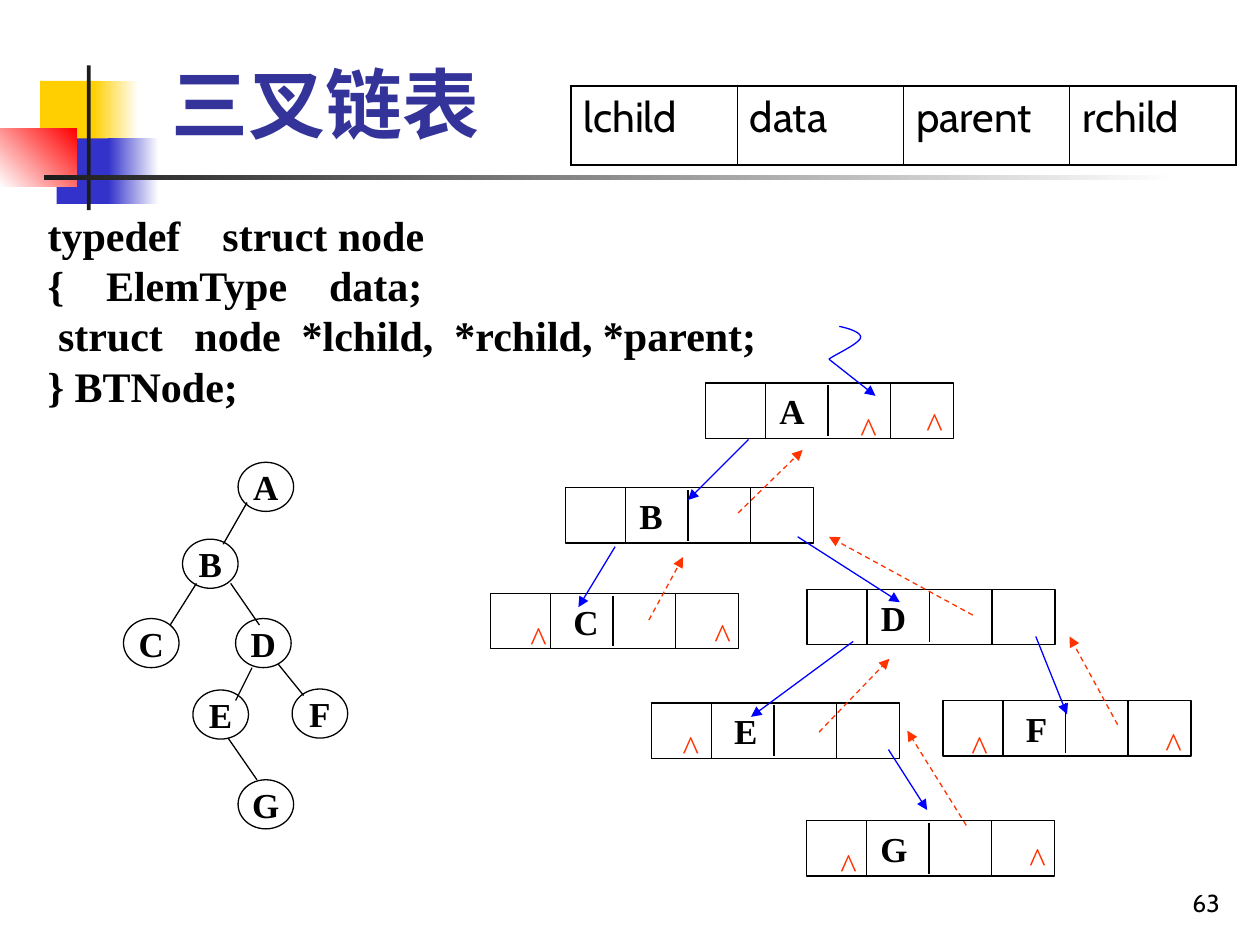
from dataclasses import dataclass

from lxml import etree
from pptx import Presentation
from pptx.dml.color import RGBColor
from pptx.enum.dml import MSO_LINE
from pptx.enum.shapes import MSO_CONNECTOR, MSO_SHAPE
from pptx.enum.text import MSO_ANCHOR, PP_ALIGN
from pptx.oxml.ns import qn
from pptx.util import Cm, Pt

RECTANGLE, OVAL = MSO_SHAPE.RECTANGLE, MSO_SHAPE.OVAL
STRAIGHT, DASH = MSO_CONNECTOR.STRAIGHT, MSO_LINE.DASH
TOP, MIDDLE, BOTTOM = MSO_ANCHOR.TOP, MSO_ANCHOR.MIDDLE, MSO_ANCHOR.BOTTOM
LEFT, CENTER, RIGHT = PP_ALIGN.LEFT, PP_ALIGN.CENTER, PP_ALIGN.RIGHT


@dataclass(frozen=True)
class Theme:
    black: str = "000000"
    white: str = "FFFFFF"
    bar: str = "1C1C1C"
    yellow: str = "FFCF01"
    indigo: str = "3333CC"
    red: str = "FF0000"
    title: str = "333399"
    child: str = "0000FF"
    parent: str = "FF3300"
    serif: str = "Times New Roman"
    sans: str = "Cabin"
    heading: str = "Noto Sans CJK SC"
    title_size: int = 44
    code_size: int = 24
    node_size: int = 20
    number_size: int = 14
    line: float = 0.75


THEME = Theme()

DECORATION = [
    ((0.81, 1.63, 1.22, 1.32), (THEME.yellow,), 0),
    ((1.88, 1.63, 0.91, 1.32), (THEME.yellow, THEME.white), 0),
    ((1.14, 2.79, 1.17, 1.32), (THEME.indigo,), 0),
    ((2.18, 2.79, 1.02, 1.32), (THEME.indigo, THEME.white), 0),
    ((0, 2.59, 1.55, 1.17), (THEME.white, THEME.red), 45),
    ((1.75, 1.32, 0.08, 2.92), (THEME.bar,), 0),
    ((0.89, 3.53, 22.86, 0.1), (THEME.bar, THEME.white), 0),
]
CODE = ["typedef    struct node", "{    ElemType    data;",
        " struct   node  *lchild,  *rchild, *parent;", "} BTNode;"]
FIELDS = ["lchild", "data", "parent", "rchild"]
TREE_NODES = {"A": (4.8, 9.32), "B": (3.68, 10.87), "C": (2.49, 12.47), "D": (4.75, 12.47),
              "E": (3.89, 13.91), "F": (5.89, 13.89), "G": (4.8, 15.72)}
TREE_EDGES = [
    (4.98, 10.13, 4.5, 10.97), (3.96, 11.76, 3.43, 12.6), (4.65, 11.76, 5.23, 12.6),
    (5.08, 13.46, 4.75, 14.12), (5.61, 13.39, 6.12, 14.02), (4.6, 14.88, 5.18, 15.72),
]
RECORDS = [
    ("A", 14.22, 7.72, 1.49), ("B", 11.4, 9.83, 1.49), ("C", 9.89, 11.96, 1.67),
    ("D", 16.27, 11.88, 1.49), ("E", 13.13, 14.17, 1.67), ("F", 19.01, 14.12, 1.67),
    ("G", 16.26, 16.54, 1.49),
]
CHILD_LINKS = [
    (15.09, 8.86, 13.87, 10.08), (12.4, 11.02, 11.66, 12.24), (17.2, 12.93, 15.14, 14.45),
    (16.08, 10.82, 18.14, 12.14), (20.88, 12.83, 21.51, 14.4), (17.91, 15.11, 18.69, 16.33),
    (16.71, 7.24, 17.65, 7.98),
]
PARENT_LINKS = [
    (14.88, 10.34, 16.18, 9.07), (13.08, 12.5, 13.77, 11.23), (19.61, 12.4, 16.71, 10.82),
    (16.51, 14.76, 17.93, 13.28), (19.48, 16.64, 18.29, 14.73), (22.53, 14.61, 21.56, 12.83),
]
NULL_MARKS = [
    (17.09, 8.08), (18.42, 7.98), (10.44, 12.29), (14.15, 12.24), (13.51, 14.48),
    (19.33, 14.48), (23.24, 14.43), (16.69, 16.87), (20.5, 16.74),
]
ROOT_CURVES = [
    ((16.92, 6.58), (17.15, 6.63), (17.37, 6.71), (17.35, 6.81)),
    ((17.35, 6.81), (17.32, 6.93), (16.82, 7.16), (16.71, 7.24)),
]


def color(code):
    return RGBColor.from_string(code)


def write(frame, lines, font, size, ink, bold=False, align=LEFT, anchor=MIDDLE):
    frame.word_wrap = True
    frame.vertical_anchor = anchor
    frame.text = "\n".join(lines)
    for para in frame.paragraphs:
        para.alignment = align
        for span in para.runs:
            span.font.name = font
            span.font.size = Pt(size)
            span.font.bold = bold
            span.font.color.rgb = color(ink)
            east_asian = etree.SubElement(span.font._element, qn("a:ea"))
            east_asian.set("typeface", font)


def add_text(page, place, lines, *style, **options):
    box = page.shapes.add_textbox(*map(Cm, place))
    write(box.text_frame, lines, *style, **options)
    return box


def add_outline(page, kind, place):
    shape = page.shapes.add_shape(kind, *map(Cm, place))
    shape.shadow.inherit = False
    shape.fill.background()
    shape.line.color.rgb = color(THEME.black)
    shape.line.width = Pt(THEME.line)
    return shape


def add_line(page, ends, ink=THEME.black, arrow=False, dash=None):
    line = page.shapes.add_connector(STRAIGHT, *map(Cm, ends))
    line.line.color.rgb = color(ink)
    line.line.width = Pt(THEME.line)
    if dash:
        line.line.dash_style = dash
    if arrow:
        etree.SubElement(line.line._get_or_add_ln(), qn("a:tailEnd")).set("type", "triangle")
    etree.SubElement(line._element.spPr, qn("a:effectLst"))


def add_decoration(page, place, inks, angle):
    shape = page.shapes.add_shape(RECTANGLE, *map(Cm, place))
    shape.shadow.inherit = False
    shape.line.fill.background()
    if len(inks) == 1:
        shape.fill.solid()
        shape.fill.fore_color.rgb = color(inks[0])
        return
    shape.fill.gradient()
    shape.fill.gradient_angle = angle
    for stop, ink in zip(shape.fill.gradient_stops, inks):
        stop.color.rgb = color(ink)


def add_tree_node(page, name, left, top):
    node = add_outline(page, OVAL, (left, top, 1.12, 0.99))
    frame = node.text_frame
    frame.margin_left = frame.margin_right = 0
    write(frame, [name], THEME.serif, THEME.node_size, THEME.black, bold=True, align=CENTER)


def add_record(page, name, left, top, indent):
    width, height = 5, 1.12
    record = add_outline(page, RECTANGLE, (left, top, width, height))
    record.text_frame.margin_left = Cm(indent)
    write(record.text_frame, [name], THEME.serif, THEME.node_size, THEME.black, bold=True)
    for offset, gap in ((1.21, 0), (2.47, 0.05), (3.73, 0)):
        x = left + offset
        add_line(page, (x, top + gap, x, top + height - gap))


def add_root_curve(page, steps=12):
    points = [ROOT_CURVES[0][0]]
    for curve in ROOT_CURVES:
        for step in range(1, steps + 1):
            t = step / steps
            weights = ((1 - t) ** 3, 3 * t * (1 - t) ** 2, 3 * t ** 2 * (1 - t), t ** 3)
            points.append([sum(w * v for w, v in zip(weights, axis)) for axis in zip(*curve)])
    spots = [(Cm(x), Cm(y)) for x, y in points]
    builder = page.shapes.build_freeform(*spots[0])
    builder.add_line_segments(spots[1:], close=False)
    shape = builder.convert_to_shape()
    shape.shadow.inherit = False
    shape.fill.background()
    shape.line.color.rgb = color(THEME.child)
    shape.line.width = Pt(THEME.line)


def add_border(cell, side, width):
    border = etree.SubElement(cell._tc.get_or_add_tcPr(), qn(f"a:{side}"), w=str(Pt(width)))
    fill = etree.SubElement(border, qn("a:solidFill"))
    etree.SubElement(fill, qn("a:srgbClr"), val=THEME.black)


def add_field_table(page):
    place = map(Cm, (11.51, 1.73, 13.41, 1.6))
    table = page.shapes.add_table(1, len(FIELDS), *place).table
    table.first_row = table.horz_banding = False
    last = len(FIELDS) - 1
    for index, (cell, field) in enumerate(zip(table.rows[0].cells, FIELDS)):
        write(cell.text_frame, [field], THEME.sans, THEME.code_size, THEME.black)
        cell.vertical_anchor = TOP
        add_border(cell, "lnL", 1.08 if index == 0 else 0.45)
        add_border(cell, "lnR", 1.08 if index == last else 0.45)
        add_border(cell, "lnT", 1.08)
        add_border(cell, "lnB", 1.08)
        cell.fill.background()


def main():
    deck = Presentation()
    deck.slide_width, deck.slide_height = Cm(25.4), Cm(19.05)
    page = deck.slides.add_slide(deck.slide_layouts[5])
    for item in DECORATION:
        add_decoration(page, *item)
    title = page.shapes.title
    title.left, title.top, title.width, title.height = map(Cm, (3.2, 0.58, 21.64, 2.54))
    write(title.text_frame, ["三叉链表"], THEME.heading, THEME.title_size, THEME.title,
          bold=True, anchor=BOTTOM)
    code = add_text(page, (0.71, 4.09, 14.83, 5.33), CODE, THEME.serif, THEME.code_size,
                    THEME.black, bold=True, anchor=TOP)
    for para in code.text_frame.paragraphs:
        para.line_spacing = Pt(28.8)
    for name, spot in TREE_NODES.items():
        add_tree_node(page, name, *spot)
    for ends in TREE_EDGES:
        add_line(page, ends)
    for record in RECORDS:
        add_record(page, *record)
    add_root_curve(page)
    for ends in CHILD_LINKS:
        add_line(page, ends, THEME.child, arrow=True)
    for ends in PARENT_LINKS:
        add_line(page, ends, THEME.parent, arrow=True, dash=DASH)
    for spot in NULL_MARKS:
        add_text(page, (*spot, 0.84, 1.12), ["^"], THEME.serif, THEME.node_size,
                 THEME.parent, align=CENTER)
    add_field_table(page)
    add_text(page, (19.56, 17.35, 5.28, 1.27), ["63"], THEME.sans, THEME.number_size,
             THEME.black, align=RIGHT, anchor=BOTTOM)
    deck.save("out.pptx")


if __name__ == "__main__":
    main()
